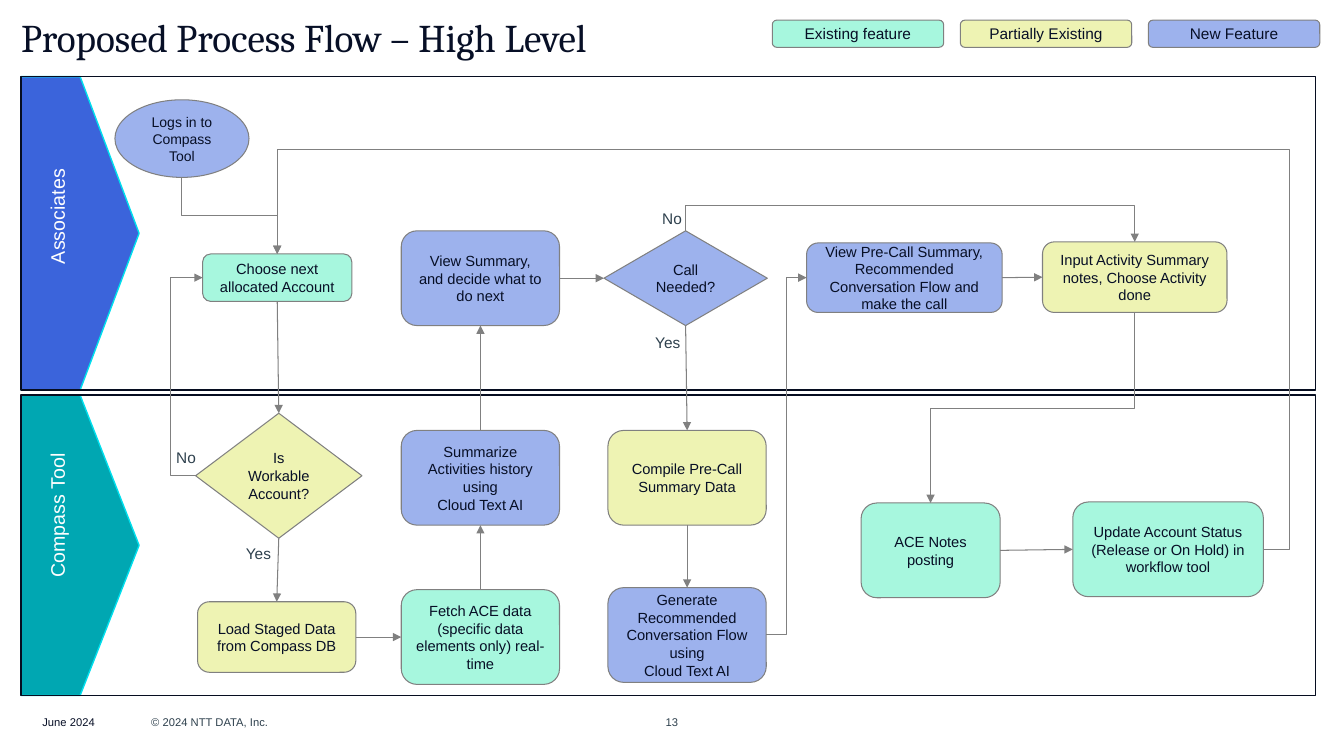
"""Build the swimlane slide of the proposed process flow."""
import pptx
import pptx.dml.color
import pptx.enum.shapes
import pptx.enum.text
import pptx.oxml
import pptx.oxml.ns
import pptx.util

Inches = pptx.util.Inches
Pt = pptx.util.Pt
RGBColor = pptx.dml.color.RGBColor
MSO_SHAPE = pptx.enum.shapes.MSO_SHAPE
MSO_CONNECTOR = pptx.enum.shapes.MSO_CONNECTOR
MSO_ANCHOR = pptx.enum.text.MSO_ANCHOR
PP_ALIGN = pptx.enum.text.PP_ALIGN
qn = pptx.oxml.ns.qn

EXISTING = RGBColor(0xA7, 0xF7, 0xDE)
PARTIAL = RGBColor(0xEE, 0xF3, 0xB3)
NEW = RGBColor(0x9D, 0xB2, 0xED)
NAVY = RGBColor(0x07, 0x0F, 0x26)
SLATE = RGBColor(0x2E, 0x40, 0x4D)
GRAY = RGBColor(0x80, 0x80, 0x80)
WHITE = RGBColor(0xFF, 0xFF, 0xFF)
BLUE = RGBColor(0x3B, 0x64, 0xDB)
TEAL = RGBColor(0x00, 0xA7, 0xB2)
CYAN = RGBColor(0x00, 0xDF, 0xED)
FRAME = RGBColor(0x06, 0x0D, 0x20)

TOP, LEFT, BOTTOM, RIGHT = range(4)

LEGEND = [("Existing feature", EXISTING), ("Partially Existing", PARTIAL), ("New Feature", NEW)]

STEPS = {
    "login": ("Logs in to Compass Tool", MSO_SHAPE.OVAL, NEW, 1.14, 0.99, 1.33, 0.77),
    "choose": ("Choose next allocated Account", MSO_SHAPE.ROUNDED_RECTANGLE, EXISTING, 2.01, 2.52, 1.48, 0.47),
    "workable": ("Is Workable Account?", MSO_SHAPE.DIAMOND, PARTIAL, 1.94, 4.1, 1.65, 1.24),
    "load": ("Load Staged Data from Compass DB", MSO_SHAPE.ROUNDED_RECTANGLE, PARTIAL, 1.96, 5.97, 1.57, 0.7),
    "fetch": ("Fetch ACE data (specific data elements only) real-time",
              MSO_SHAPE.ROUNDED_RECTANGLE, EXISTING, 3.98, 5.85, 1.57, 0.94),
    "summarize": ("Summarize Activities history using\nCloud Text AI",
                  MSO_SHAPE.ROUNDED_RECTANGLE, NEW, 3.98, 4.27, 1.57, 0.94),
    "view": ("View Summary, and decide what to do next", MSO_SHAPE.ROUNDED_RECTANGLE, NEW, 3.98, 2.29, 1.57, 0.94),
    "call": ("Call Needed?", MSO_SHAPE.DIAMOND, NEW, 5.99, 2.29, 1.62, 0.94),
    "compile": ("Compile Pre-Call Summary Data", MSO_SHAPE.ROUNDED_RECTANGLE, PARTIAL, 6.03, 4.27, 1.57, 0.94),
    "generate": ("Generate Recommended Conversation Flow using\nCloud Text AI",
                 MSO_SHAPE.ROUNDED_RECTANGLE, NEW, 6.03, 5.83, 1.57, 0.94),
    "make": ("View Pre-Call Summary, Recommended Conversation Flow and make the call",
             MSO_SHAPE.ROUNDED_RECTANGLE, NEW, 8, 2.41, 1.94, 0.69),
    "input": ("Input Activity Summary notes, Choose Activity done",
              MSO_SHAPE.ROUNDED_RECTANGLE, PARTIAL, 10.34, 2.4, 1.83, 0.7),
    "post": ("ACE Notes posting", MSO_SHAPE.ROUNDED_RECTANGLE, EXISTING, 8.54, 4.99, 1.38, 0.94),
    "update": ("Update Account Status (Release or On Hold) in workflow tool",
               MSO_SHAPE.ROUNDED_RECTANGLE, EXISTING, 10.64, 4.98, 1.89, 0.94),
}

STRAIGHT_ARROWS = [
    ("choose", BOTTOM, "workable", TOP), ("workable", BOTTOM, "load", TOP),
    ("load", RIGHT, "fetch", LEFT), ("fetch", TOP, "summarize", BOTTOM),
    ("summarize", TOP, "view", BOTTOM), ("view", RIGHT, "call", LEFT),
    ("call", BOTTOM, "compile", TOP), ("compile", BOTTOM, "generate", TOP),
    ("make", RIGHT, "input", LEFT), ("post", RIGHT, "update", LEFT),
]

ELBOW_ARROWS = [
    ("login", BOTTOM, "choose", TOP, [2.14]), ("workable", LEFT, "choose", LEFT, [1.69]),
    ("call", TOP, "input", TOP, [2.04]), ("generate", RIGHT, "make", LEFT, [7.8]),
    ("input", BOTTOM, "post", TOP, [4.05]), ("update", RIGHT, "choose", TOP, [12.79, 1.48]),
]

BRANCH_LABELS = [("No", 1.65, 4.4), ("Yes", 2.34, 5.35), ("Yes", 6.4, 3.26), ("No", 6.47, 2.03)]


def write_text(shape, text, size, color, alignment=None, font="Arial"):
    """Write the lines of text into a shape as formatted paragraphs."""
    shape.text_frame.word_wrap = True
    shape.text_frame.text = text
    for paragraph in shape.text_frame.paragraphs:
        paragraph.alignment = alignment
        paragraph.font.name = font
        paragraph.font.size = Pt(size)
        paragraph.font.color.rgb = color


def set_margins(text_frame, horizontal, vertical):
    """Set equal side margins and equal top and bottom margins."""
    text_frame.margin_left = text_frame.margin_right = Inches(horizontal)
    text_frame.margin_top = text_frame.margin_bottom = Inches(vertical)


def add_box(slide, kind, left, top, width, height, fill, line, line_width):
    """Add a preset shape; a fill of None leaves it hollow."""
    shape = slide.shapes.add_shape(kind, Inches(left), Inches(top), Inches(width), Inches(height))
    shape.shadow.inherit = False
    if fill is None:
        shape.fill.background()
    else:
        shape.fill.solid()
        shape.fill.fore_color.rgb = fill
    shape.line.color.rgb = line
    shape.line.width = Pt(line_width)
    return shape


def add_step(slide, text, kind, fill, left, top, width, height, size=10.5):
    """Add a flow step with centred text."""
    shape = add_box(slide, kind, left, top, width, height, fill, GRAY, 0.75)
    write_text(shape, text, size, NAVY, PP_ALIGN.CENTER)
    shape.text_frame.vertical_anchor = MSO_ANCHOR.MIDDLE
    return shape


def add_label(slide, text, left, top, width, height, size, color, alignment=None):
    """Add a text box."""
    label = slide.shapes.add_textbox(Inches(left), Inches(top), Inches(width), Inches(height))
    write_text(label, text, size, color, alignment)
    return label


def add_lane(slide, name, top, height, fill, label_top, label_height):
    """Add a swimlane with its pentagon header and upright name."""
    header = add_box(slide, MSO_SHAPE.PENTAGON, 0.21, top, 1.17, height, fill, CYAN, 1)
    header.adjustments[0] = 0.5
    add_box(slide, MSO_SHAPE.RECTANGLE, 0.21, top, 12.84, height, None, FRAME, 1)
    label = add_label(slide, name, 0.45, label_top, 0.32, label_height, 14, WHITE)
    set_margins(label.text_frame, 0, 0)
    label.text_frame._txBody.bodyPr.set("vert", "vert270")


def side_point(shape, side):
    """Return the middle of one side of a shape."""
    across = {LEFT: 0, RIGHT: 1}.get(side, 0.5)
    down = {TOP: 0, BOTTOM: 1}.get(side, 0.5)
    return shape.left + shape.width * across, shape.top + shape.height * down


def add_arrow(slide, kind, begin, end):
    """Add a thin gray connector with a triangular head."""
    connector = slide.shapes.add_connector(kind, *(int(value) for value in (*begin, *end)))
    connector.line.color.rgb = GRAY
    connector.line.width = Pt(0.75)
    head = pptx.oxml.parse_xml(f'<a:tailEnd {pptx.oxml.ns.nsdecls("a")} type="triangle"/>')
    connector.line._get_or_add_ln().append(head)
    connector._element.spPr.append(pptx.oxml.parse_xml(f'<a:effectLst {pptx.oxml.ns.nsdecls("a")}/>'))
    return connector


def add_straight_arrow(slide, source, source_side, target, target_side):
    """Join two steps by a straight arrow."""
    arrow = add_arrow(slide, MSO_CONNECTOR.STRAIGHT,
                      side_point(source, source_side), side_point(target, target_side))
    arrow.begin_connect(source, source_side)
    arrow.end_connect(target, target_side)


def add_elbow_arrow(slide, source, source_side, target, target_side, bends):
    """Lead a bent arrow through the given bend positions, in inches."""
    x1, y1 = side_point(source, source_side)
    x2, y2 = side_point(target, target_side)
    if source_side in (TOP, BOTTOM):
        middle_x, middle_y = (x1 + x2) / 2, (y1 + y2) / 2
        half_x, half_y = (x2 - x1) / 2, (y2 - y1) / 2
        arrow = add_arrow(slide, MSO_CONNECTOR.ELBOW, (middle_x - half_y, middle_y + half_x),
                          (middle_x + half_y, middle_y - half_x))
        arrow._element.spPr.find(qn("a:xfrm")).set("rot", "5400000")
        spans = [(y1, y2)]
    else:
        arrow = add_arrow(slide, MSO_CONNECTOR.ELBOW, (x1, y1), (x2, y2))
        spans = [(x1, x2), (y1, y2)]
    geometry = arrow._element.spPr.find(qn("a:prstGeom"))
    geometry.set("prst", f"bentConnector{len(bends) + 2}")
    guides = geometry.find(qn("a:avLst"))
    for number, (bend, (start, stop)) in enumerate(zip(bends, spans), 1):
        ratio = round((Inches(bend) - start) / (stop - start) * 100000)
        guide = pptx.oxml.parse_xml(
            f'<a:gd {pptx.oxml.ns.nsdecls("a")} name="adj{number}" fmla="val {ratio}"/>')
        guides.append(guide)


def add_title(slide, text):
    """Fill and place the title placeholder."""
    title = slide.shapes.title
    title.left, title.top, title.width, title.height = (Inches(value) for value in (0.21, 0.13, 12.5, 0.47))
    write_text(title, text, 28, NAVY, PP_ALIGN.LEFT, "Cambria")
    title.text_frame.paragraphs[0].line_spacing = 0.9
    title.text_frame.auto_size = pptx.enum.text.MSO_AUTO_SIZE.NONE
    title.text_frame.vertical_anchor = MSO_ANCHOR.TOP
    set_margins(title.text_frame, 0, 0.05)


def add_footer(slide):
    """Add the date, the copyright line and the page number."""
    for text, left, width, color, alignment in [
            ("June 2024", 0.42, 1, NAVY, None), ("© 2024 NTT DATA, Inc.", 1.5, 4.5, SLATE, None),
            ("13", 6.08, 1.17, SLATE, PP_ALIGN.CENTER)]:
        label = add_label(slide, text, left, 7, width, 0.33, 8, color, alignment)
        label.text_frame.vertical_anchor = MSO_ANCHOR.MIDDLE
        set_margins(label.text_frame, 0, 0)


def main():
    """Build and save the slide."""
    presentation = pptx.Presentation()
    presentation.slide_width, presentation.slide_height = Inches(13.33), Inches(7.5)
    slide = presentation.slides.add_slide(presentation.slide_layouts[5])
    add_title(slide, "Proposed Process Flow – High Level")
    add_footer(slide)
    add_lane(slide, "Associates", 0.76, 3.11, BLUE, 1.51, 1.11)
    add_lane(slide, "Compass Tool", 3.92, 2.98, TEAL, 4.34, 1.39)
    for index, (text, fill) in enumerate(LEGEND):
        add_step(slide, text, MSO_SHAPE.ROUNDED_RECTANGLE, fill, 7.66 + 1.865 * index, 0.2, 1.7, 0.27, 11)
    steps = {name: add_step(slide, *details) for name, details in STEPS.items()}
    steps["login"].text_frame.paragraphs[0].font.size = Pt(10)
    for source, source_side, target, target_side in STRAIGHT_ARROWS:
        add_straight_arrow(slide, steps[source], source_side, steps[target], target_side)
    for source, source_side, target, target_side, bends in ELBOW_ARROWS:
        add_elbow_arrow(slide, steps[source], source_side, steps[target], target_side, bends)
    for text, left, top in BRANCH_LABELS:
        add_label(slide, text, left, top, 0.47 if text == "Yes" else 0.4, 0.29, 11, SLATE)
    presentation.save("out.pptx")


if __name__ == "__main__":
    main()
